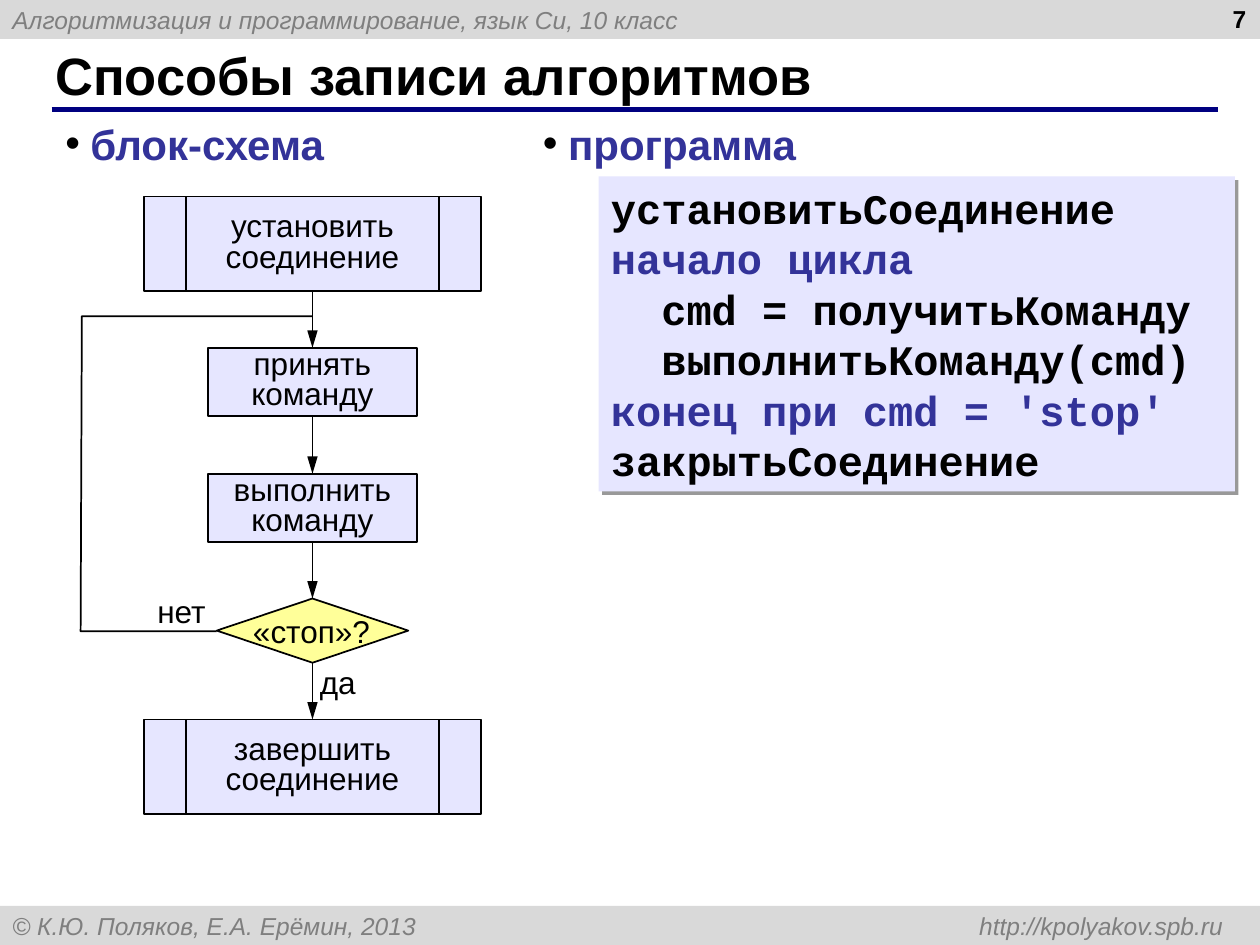
from dataclasses import dataclass

from pptx import Presentation
from pptx.dml.color import RGBColor
from pptx.enum.shapes import MSO_CONNECTOR as Connector, MSO_SHAPE as Shape
from pptx.enum.text import MSO_ANCHOR as Anchor, MSO_AUTO_SIZE as AutoSize, PP_ALIGN as Align
from pptx.oxml import parse_xml
from pptx.oxml.ns import nsdecls
from pptx.util import Inches, Pt


@dataclass(frozen=True)
class Theme:
    sans: str = "Arial"
    mono: str = "Courier New"
    black: str = "000000"
    band: str = "D9D9D9"
    gray: str = "7F7F7F"
    navy: str = "000080"
    accent: str = "333399"
    lavender: str = "E6E6FF"
    yellow: str = "FFFF99"
    title: int = 30
    large: int = 24
    body: int = 18
    small: int = 14


THEME = Theme()
CENTER = 2.48  # vertical axis of the flowchart


def format_text(paragraph, size, color=THEME.black, font=THEME.sans, bold=False, italic=False):
    for run in paragraph.runs:
        run.font.name = font
        run.font.size = Pt(size)
        run.font.bold = bold
        run.font.italic = italic
        run.font.color.rgb = RGBColor.from_string(color)


def add_xml(parent, body):
    wrapper = parse_xml(f"<wrapper {nsdecls('a')}>{body}</wrapper>")
    parent.extend(list(wrapper))


def add_label(slide, box, text, size, wrap=False, anchor=Anchor.TOP, align=Align.LEFT, **style):
    label = slide.shapes.add_textbox(*map(Inches, box))
    frame = label.text_frame
    frame.text = text
    frame.word_wrap = wrap
    if not wrap:
        frame.auto_size = AutoSize.SHAPE_TO_FIT_TEXT
    frame.vertical_anchor = anchor
    paragraph = frame.paragraphs[0]
    paragraph.alignment = align
    format_text(paragraph, size, **style)
    return paragraph


def add_heading(slide, box, text):
    paragraph = add_label(slide, box, text, THEME.large, wrap=True,
                          color=THEME.accent, bold=True)
    properties = paragraph._p.get_or_add_pPr()
    properties.set("marL", str(Inches(0.2)))
    properties.set("indent", str(-Inches(0.2)))
    add_xml(properties, f'<a:buClr><a:srgbClr val="{THEME.black}"/></a:buClr>'
            f'<a:buFont typeface="{THEME.sans}"/><a:buChar char="•"/>')
    paragraph.space_after = Pt(12)


def outline(line, color=THEME.black, width=1):
    line.color.rgb = RGBColor.from_string(color)
    line.width = Pt(width)


def add_box(slide, kind, box, fill, outlined=True):
    shape = slide.shapes.add_shape(kind, *map(Inches, box))
    shape.shadow.inherit = False
    shape.fill.solid()
    shape.fill.fore_color.rgb = RGBColor.from_string(fill)
    if outlined:
        outline(shape.line)
    else:
        shape.line.fill.background()
    shape.text_frame.vertical_anchor = Anchor.MIDDLE
    return shape


def add_band(slide, top, text):
    band = add_box(slide, Shape.RECTANGLE, (0, top, 10, 0.31), THEME.band, outlined=False)
    band.text_frame.text = text
    paragraph = band.text_frame.paragraphs[0]
    paragraph.alignment = Align.LEFT
    format_text(paragraph, THEME.small, THEME.gray, italic=True)
    return paragraph


def add_step(slide, kind, top, width, height, text):
    box = (CENTER - width / 2, top, width, height)
    step = add_box(slide, kind, box, THEME.lavender)
    step.text_frame.text = text
    paragraph = step.text_frame.paragraphs[0]
    paragraph.alignment = Align.CENTER
    paragraph.line_spacing = 0.8
    format_text(paragraph, THEME.body)
    return step


def add_line(slide, start, end, color=THEME.black, width=1):
    points = map(Inches, (*start, *end))
    line = slide.shapes.add_connector(Connector.STRAIGHT, *points)
    outline(line.line, color, width)
    add_xml(line._element.spPr, "<a:effectLst/>")
    return line


def add_arrow(slide, upper, lower):
    arrow = add_line(slide, (CENTER, 0), (CENTER, 1))
    arrow.begin_connect(upper, 2)
    arrow.end_connect(lower, 0)
    add_xml(arrow.line._get_or_add_ln(), '<a:tailEnd type="triangle" w="med" len="lg"/>')


def add_code(slide, box, lines):
    code = add_box(slide, Shape.RECTANGLE, box, THEME.lavender, outlined=False)
    properties = code._element.spPr
    properties.remove(properties.find("{*}effectLst"))
    add_xml(properties, f'<a:effectLst><a:outerShdw dist="{Pt(3)}" dir="2700000" algn="tl">'
            f'<a:srgbClr val="{THEME.black}"><a:alpha val="40000"/></a:srgbClr>'
            '</a:outerShdw></a:effectLst>')
    frame = code.text_frame
    frame.vertical_anchor = Anchor.TOP
    frame.auto_size = AutoSize.SHAPE_TO_FIT_TEXT
    frame.text = "\n".join(text for text, _ in lines)
    for paragraph, (_, color) in zip(frame.paragraphs, lines):
        paragraph.alignment = Align.LEFT
        format_text(paragraph, THEME.large, color, THEME.mono, bold=True)


def add_flowchart(slide):
    routine = (Shape.FLOWCHART_PREDEFINED_PROCESS, 2.68, 0.75)
    process = (Shape.FLOWCHART_PROCESS, 1.66, 0.54)
    steps = []
    for (kind, width, height), top, text in [
        (routine, 1.56, "установить соединение"),
        (process, 2.76, "принять команду"),
        (process, 3.76, "выполнить команду"),
        (routine, 5.71, "завершить соединение"),
    ]:
        steps.append(add_step(slide, kind, top, width, height, text))
    decision = add_box(slide, Shape.FLOWCHART_DECISION,
                       (CENTER - 0.76, 4.75, 1.52, 0.51), THEME.yellow)
    steps.insert(3, decision)

    for upper, lower in zip(steps, steps[1:]):
        add_arrow(slide, upper, lower)

    for box, text in [
        ((1.91, 4.81, 1.13, 0.4), "«стоп»?"),
        ((2.44, 5.21, 0.5, 0.4), "да"),
        ((1.15, 4.65, 0.59, 0.4), "нет"),
    ]:
        add_label(slide, box, text, THEME.body)

    # Loop back to the first command
    builder = slide.shapes.build_freeform(Inches(1.72), Inches(5.01), scale=1.0)
    corners = [(0.64, 5.01), (0.65, 2.51), (CENTER, 2.51)]
    builder.add_line_segments([(Inches(x), Inches(y)) for x, y in corners], close=False)
    loop = builder.convert_to_shape()
    loop.shadow.inherit = False
    loop.fill.background()
    outline(loop.line)


def main():
    presentation = Presentation()
    presentation.slide_width = Inches(10)
    presentation.slide_height = Inches(7.5)
    slide = presentation.slides.add_slide(presentation.slide_layouts[6])

    # Header and footer
    add_band(slide, 0, "Алгоритмизация и программирование, язык Си, 10 класс")
    footer = add_band(slide, 7.19, "© К.Ю. Поляков, Е.А. Ерёмин, 2013 \thttp://kpolyakov.spb.ru")
    add_xml(footer._p.get_or_add_pPr(),
            f'<a:tabLst><a:tab pos="{Inches(9.61)}" algn="r"/></a:tabLst>')
    add_label(slide, (7.66, -0.02, 2.33, 0.52), "7", THEME.small,
              wrap=True, align=Align.RIGHT, bold=True)

    # Title
    add_line(slide, (0.41, 0.87), (9.67, 0.87), THEME.navy, 3)
    add_label(slide, (0.34, 0.33, 9.16, 0.52), "Способы записи алгоритмов", THEME.title,
              wrap=True, anchor=Anchor.MIDDLE, bold=True)

    # Two ways of writing the algorithm
    add_heading(slide, (0.42, 0.89, 3.27, 0.5), "блок-схема")
    add_flowchart(slide)
    add_heading(slide, (4.21, 0.89, 2.21, 0.5), "программа")
    add_code(slide, (4.75, 1.4, 5.05, 2.5), [
        ("установитьСоединение", THEME.black),
        ("начало цикла", THEME.accent),
        ("  cmd = получитьКоманду", THEME.black),
        ("  выполнитьКоманду(cmd)", THEME.black),
        ("конец при cmd = 'stop'", THEME.accent),
        ("закрытьСоединение", THEME.black),
    ])

    presentation.save("out.pptx")


if __name__ == "__main__":
    main()
